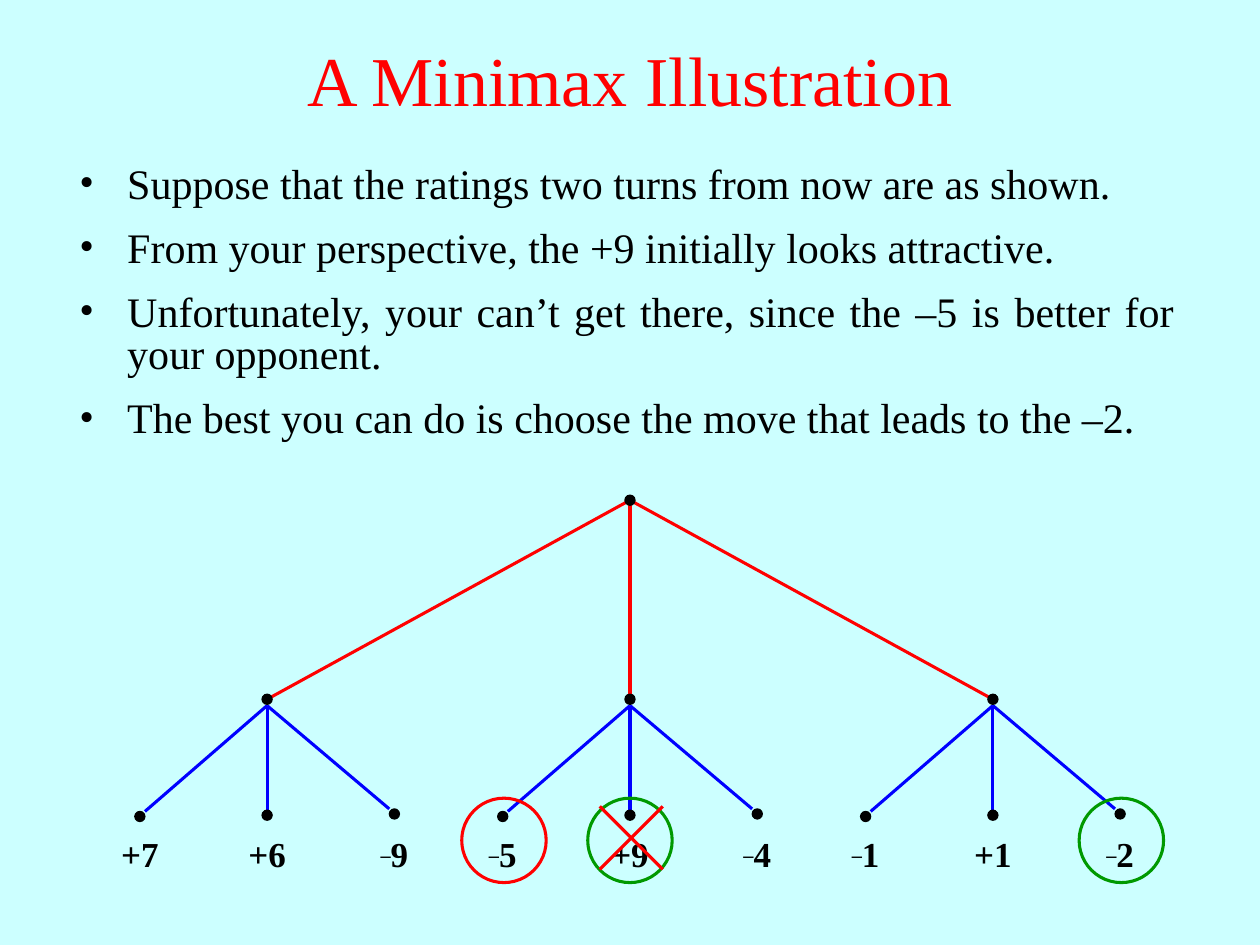
from lxml import etree
from pptx import Presentation
from pptx.dml.color import RGBColor
from pptx.enum.shapes import MSO_CONNECTOR, MSO_SHAPE
from pptx.enum.text import MSO_ANCHOR, MSO_AUTO_SIZE, PP_ALIGN
from pptx.oxml.ns import qn
from pptx.util import Inches, Pt

STRAIGHT = MSO_CONNECTOR.STRAIGHT
OVAL = MSO_SHAPE.OVAL
CENTER, JUSTIFY = PP_ALIGN.CENTER, PP_ALIGN.JUSTIFY
TOP, MIDDLE = MSO_ANCHOR.TOP, MSO_ANCHOR.MIDDLE
NO_FIT = MSO_AUTO_SIZE.NONE
FONT = "Times New Roman"

COLORS = {
    "background": "CCFFFF",
    "text": "000000",
    "red": "FF0000",
    "blue": "0000FF",
    "green": "009900",
}
BULLETS = [
    "Suppose that the ratings two turns from now are as shown.",
    "From your perspective, the +9 initially looks attractive.",
    "Unfortunately, your can’t get there, since the –5 is better for your opponent.",
    "The best you can do is choose the move that leads to the –2.",
]
ROOT = (5, 3.97)
BRANCHES = [
    (2.12, ["+7", "+6", "–9"]),
    (5, ["–5", "+9", "–4"]),
    (7.88, ["–1", "+1", "–2"]),
]
BRANCH_Y = 5.55
LEAF_OFFSETS = [(-1.01, 6.48), (0, 6.47), (1.01, 6.46)]
MARKS = [(5, "green"), (8.9, "green"), (4, "red")]
CROSS = [((4.76, 6.4), (5.26, 6.9)), ((4.76, 6.9), (5.26, 6.4))]


def rgb(name):
    """Return the named colour."""
    return RGBColor.from_string(COLORS[name])


def set_values(target, values):
    """Set each named attribute of the target."""
    for name, value in values.items():
        setattr(target, name, value)


def add_span(para, text, size, color="text", bold=False):
    """Add formatted text to a paragraph and return it."""
    span = para.add_run()
    span.text = text
    set_values(span.font, {"name": FONT, "size": Pt(size), "bold": bold})
    span.font.color.rgb = rgb(color)
    return span


def add_line(page, start, end, color):
    """Draw a straight line between two points."""
    points = [Inches(value) for value in (*start, *end)]
    line = page.shapes.add_connector(STRAIGHT, *points)
    line.line.color.rgb = rgb(color)
    line.line.width = Pt(1.75)
    etree.SubElement(line._element.spPr, qn("a:effectLst"))


def add_circle(page, center, diameter, color, width, filled=False):
    """Draw a circle around a point."""
    left, top = (Inches(value - diameter / 2) for value in center)
    circle = page.shapes.add_shape(OVAL, left, top, Inches(diameter), Inches(diameter))
    circle.shadow.inherit = False
    circle.line.color.rgb = rgb(color)
    circle.line.width = Pt(width)
    if filled:
        circle.fill.solid()
        circle.fill.fore_color.rgb = rgb(color)
    else:
        circle.fill.background()


def add_node(page, center):
    """Draw a tree node."""
    add_circle(page, center, 0.08, "text", 0.75, filled=True)


def add_rating(page, middle, rating):
    """Write a rating below its leaf, with a raised minus sign."""
    box = page.shapes.add_textbox(
        Inches(middle - 0.375), Inches(6.56), Inches(0.75), Inches(0.43))
    box.text_frame.word_wrap = True
    para = box.text_frame.paragraphs[0]
    para.alignment = CENTER
    if rating.startswith("–"):
        minus = add_span(para, "–", 20, bold=True)
        minus.font._element.set("baseline", "15000")
        rating = rating[1:]
    add_span(para, rating, 20, bold=True)


def add_branch(page, middle, ratings):
    """Draw a branch node with its leaves and ratings."""
    for offset, leaf_y in LEAF_OFFSETS:
        add_line(page, (middle + offset * 0.96, leaf_y - 0.04), (middle, 5.6), "blue")
    add_node(page, (middle, BRANCH_Y))
    for (offset, leaf_y), rating in zip(LEAF_OFFSETS, ratings):
        add_node(page, (middle + offset, leaf_y))
        add_rating(page, middle + offset, rating)


def place(box, left, top, width, height, anchor):
    """Position a placeholder and fix its text layout."""
    set_values(box, {"left": Inches(left), "top": Inches(top),
                     "width": Inches(width), "height": Inches(height)})
    set_values(box.text_frame, {"word_wrap": True, "auto_size": NO_FIT,
                                "vertical_anchor": anchor})


def fill_title(box):
    """Write the slide title."""
    place(box, 0, 0, 10, 1.25, MIDDLE)
    para = box.text_frame.paragraphs[0]
    para.alignment = CENTER
    add_span(para, "A Minimax Illustration", 40, "red")


def fill_body(box):
    """Write the bulleted list."""
    place(box, 0.53, 1.26, 8.89, 5.65, TOP)
    frame = box.text_frame
    for index, text in enumerate(BULLETS):
        para = frame.add_paragraph() if index else frame.paragraphs[0]
        set_values(para, {"alignment": JUSTIFY, "line_spacing": 0.85,
                          "space_before": Pt(0), "space_after": Pt(12)})
        properties = para._p.get_or_add_pPr()
        properties.set("marL", str(Inches(0.38)))
        properties.set("indent", str(Inches(-0.38)))
        etree.SubElement(properties, qn("a:buFont"), typeface=FONT)
        etree.SubElement(properties, qn("a:buChar"), char="•")
        add_span(para, text, 24)


def main():
    """Build the slide and save the deck."""
    deck = Presentation()
    deck.slide_width, deck.slide_height = Inches(10), Inches(7.5)
    page = deck.slides.add_slide(deck.slide_layouts[1])
    page.background.fill.solid()
    page.background.fill.fore_color.rgb = rgb("background")
    fill_title(page.shapes.title)
    fill_body(page.placeholders[1])
    for middle, ratings in BRANCHES:
        add_line(page, (middle, BRANCH_Y), ROOT, "red")
    add_node(page, ROOT)
    for middle, ratings in BRANCHES:
        add_branch(page, middle, ratings)
    for middle, color in MARKS:
        add_circle(page, (middle, 6.67), 0.67, color, 1.75)
    for start, end in CROSS:
        add_line(page, start, end, "red")
    deck.save("out.pptx")


if __name__ == "__main__":
    main()
